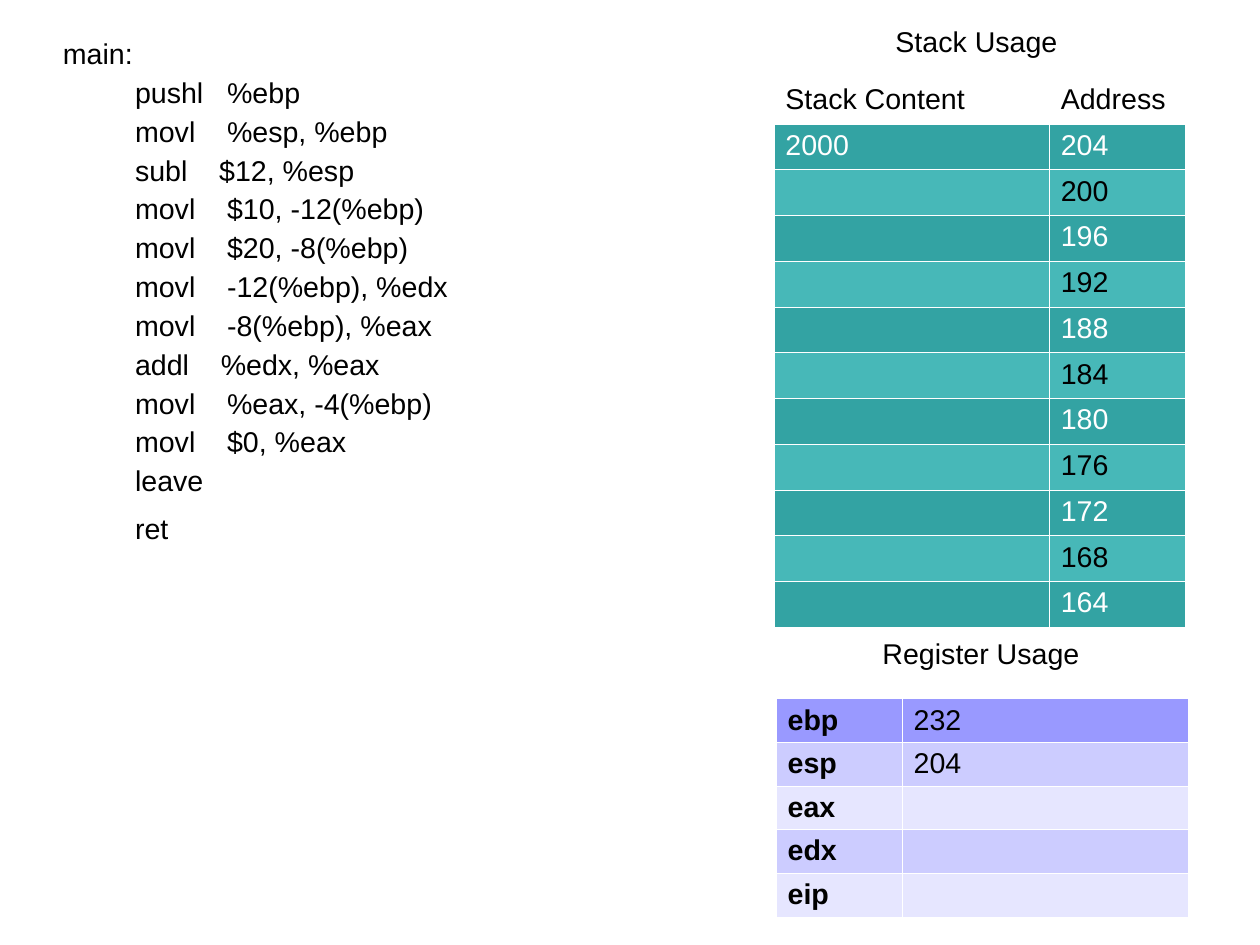
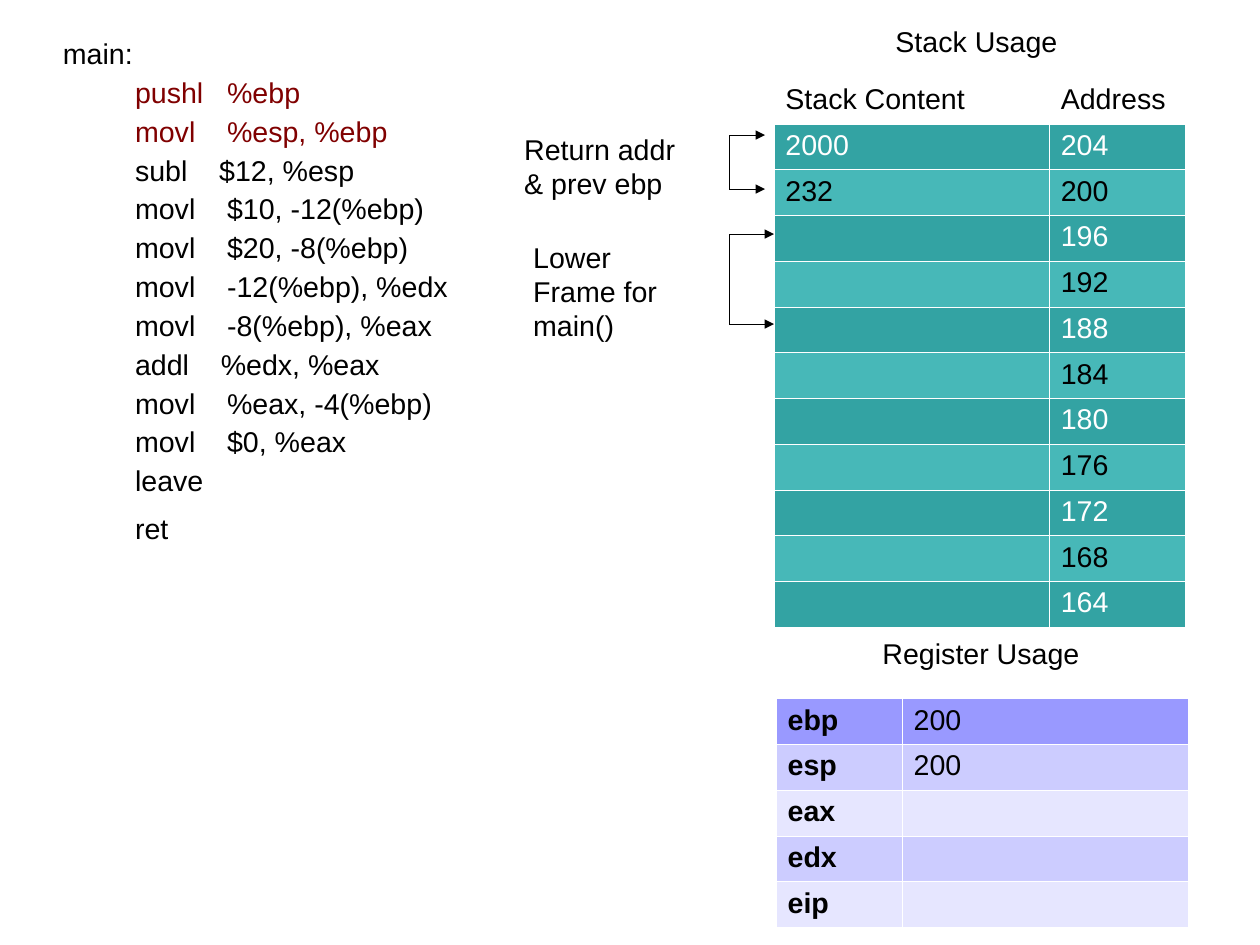
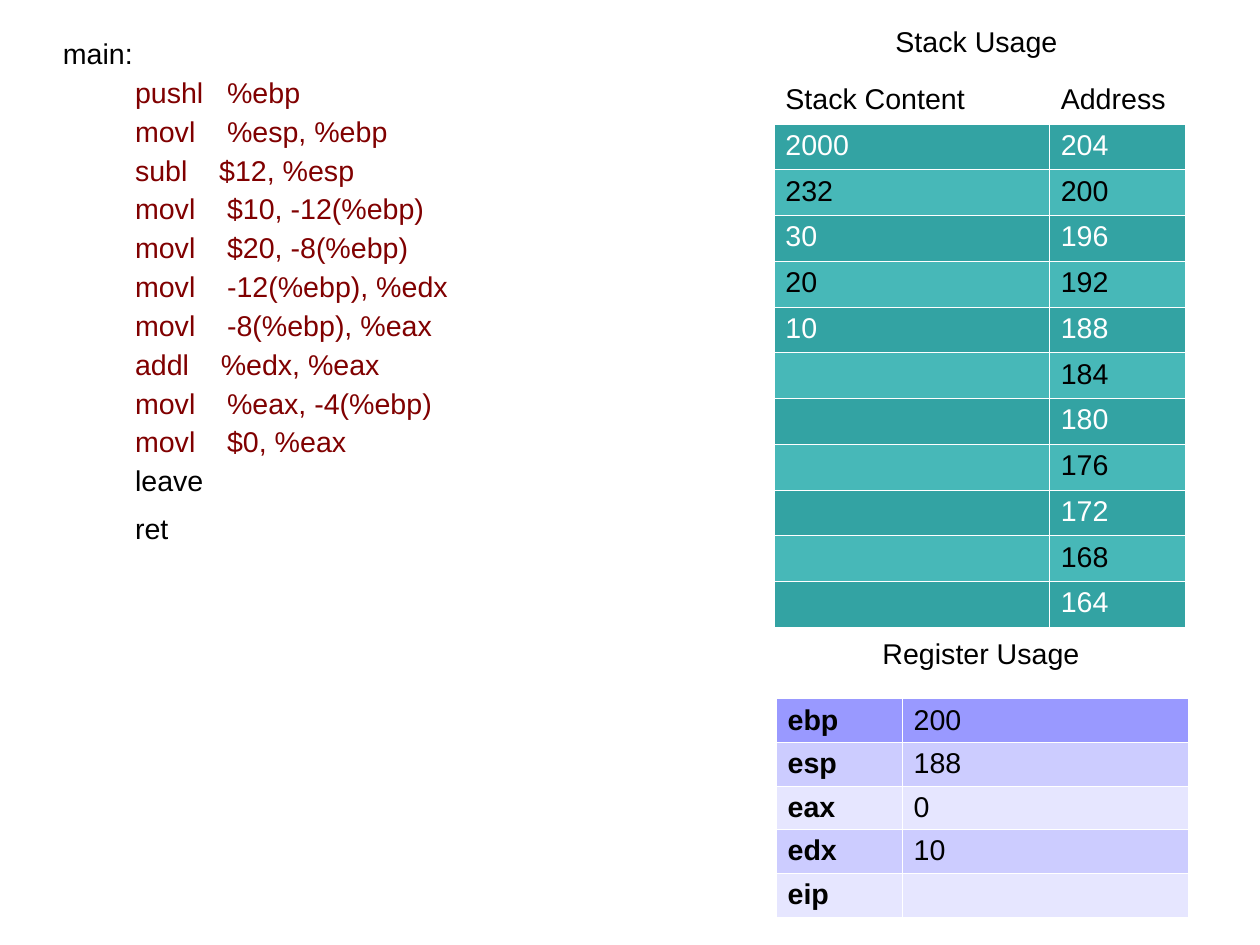
from dataclasses import dataclass
from typing import Any, NamedTuple

from lxml import etree
from pptx import Presentation
from pptx import util as u
from pptx.dml.color import RGBColor
from pptx.enum import shapes, text
from pptx.oxml import ns

Cm, Pt = u.Cm, u.Pt


@dataclass(frozen=True)
class Theme:
    font: str = "Arial"
    size: float = 18
    border: int = 720
    ink: str = "000000"
    paper: str = "FFFFFF"
    executed: str = "800000"
    stack_bands: tuple[str, str] = ("33A3A3", "47B8B8")
    register_head: str = "9999FF"
    register_bands: tuple[str, str] = ("CCCCFF", "E6E6FF")


class Label(NamedTuple):
    wording: str
    left: float
    top: float
    width: float
    height: float
    align: Any = text.PP_ALIGN.LEFT


class Bracket(NamedTuple):
    top: float
    bottom: float
    tip: float


class CellLook(NamedTuple):
    fill: str
    ink: str
    bold: bool = False


class Grid(NamedTuple):
    left: float
    top: float
    widths: tuple[float, float]
    rows: list[tuple[str, str]]
    looks: list[tuple[CellLook, CellLook]]


@dataclass(frozen=True)
class Step:
    executed: int
    stack: tuple[str, ...]
    registers: tuple[str, ...]
    callouts: tuple[Label, ...] = ()
    brackets: tuple[Bracket, ...] = ()


THEME = Theme()
ROW_HEIGHT = 0.97
BRACKET_LEFT = 16.2
LINE_GAP, LAST_LINE_GAP = 2.85, 8.8
ADDRESSES = range(204, 160, -4)
REGISTERS = ("ebp", "esp", "eax", "edx", "eip")
INSTRUCTIONS = (
    "  pushl   %ebp",
    "  movl    %esp, %ebp",
    "  subl    $12, %esp",
    "  movl    $10, -12(%ebp)",
    "  movl    $20, -8(%ebp)",
    "  movl    -12(%ebp), %edx",
    "  movl    -8(%ebp), %eax",
    "  addl    %edx, %eax",
    "  movl    %eax, -4(%ebp)",
    "  movl    $0, %eax",
    "  leave",
    "  ret",
)
HEADINGS = (
    Label("Stack Usage", 17.1, 0.4, 9.2, 0.97, text.PP_ALIGN.CENTER),
    Label("Register Usage", 17.2, 14, 9.2, 0.97, text.PP_ALIGN.CENTER),
)
STEPS = (
    Step(0, ("2000",), ("232", "204")),
    Step(
        2,
        ("2000", "232"),
        ("200", "200"),
        (
            Label("Return addr & prev ebp", 11.4, 2.8, 4.39, 1.68),
            Label("Lower Frame for main()", 11.6, 5.2, 4.18, 2.39),
        ),
        (Bracket(3, 4.2, 17), Bracket(5.2, 7.2, 17.2)),
    ),
    Step(10, ("2000", "232", "30", "20", "10"), ("200", "188", "0", "10")),
)


def apply(target: Any, values: dict[str, Any]) -> None:
    for name, value in values.items():
        setattr(target, name, value)


def write(paragraph: Any, wording: str, ink: str = THEME.ink, bold: bool = False) -> None:
    run = paragraph.add_run()
    run.text = wording
    apply(run.font, {"name": THEME.font, "size": Pt(THEME.size), "bold": bold})
    run.font.color.rgb = RGBColor.from_string(ink)


def size_empty(paragraph: Any) -> None:
    mark = etree.SubElement(paragraph._p, ns.qn("a:endParaRPr"), sz=str(int(THEME.size * 100)))
    etree.SubElement(mark, ns.qn("a:latin"), typeface=THEME.font)
    for script in ("a:ea", "a:cs"):
        etree.SubElement(mark, ns.qn(script), typeface=THEME.font)


def draw_label(slide: Any, label: Label) -> None:
    box = slide.shapes.add_textbox(*map(Cm, label[1:5]))
    apply(box.text_frame, {"word_wrap": True, "auto_size": text.MSO_AUTO_SIZE.SHAPE_TO_FIT_TEXT})
    paragraph = box.text_frame.paragraphs[0]
    paragraph.alignment = label.align
    write(paragraph, label.wording)


def draw_code(slide: Any, executed: int) -> None:
    frame = slide.shapes.add_textbox(Cm(1.4), Cm(0.8), Cm(15), Cm(19.2)).text_frame
    margins = dict.fromkeys(("margin_left", "margin_top", "margin_right", "margin_bottom"), 0)
    apply(frame, {"word_wrap": True, **margins})
    write(frame.paragraphs[0], "main:")
    for index, instruction in enumerate(INSTRUCTIONS):
        paragraph = frame.add_paragraph()
        last = index == len(INSTRUCTIONS) - 1
        paragraph.space_before = Pt(LAST_LINE_GAP if last else LINE_GAP)
        properties = paragraph._p.get_or_add_pPr()
        properties.set("marL", str(int(Cm(1.25))))
        properties.set("indent", "0")
        write(paragraph, instruction, THEME.executed if index < executed else THEME.ink)


def set_borders(cell: Any) -> None:
    properties = cell._tc.get_or_add_tcPr()
    for position, side in enumerate(("lnL", "lnR", "lnT", "lnB")):
        line = etree.Element(ns.qn(f"a:{side}"), w=str(THEME.border))
        fill = etree.SubElement(line, ns.qn("a:solidFill"))
        etree.SubElement(fill, ns.qn("a:srgbClr"), val=THEME.paper)
        properties.insert(position, line)


def draw_grid(slide: Any, grid: Grid) -> None:
    table = slide.shapes.add_table(
        len(grid.rows), len(grid.widths), Cm(grid.left), Cm(grid.top),
        Cm(sum(grid.widths)), Cm(ROW_HEIGHT * len(grid.rows)),
    ).table
    apply(table, {"first_row": False, "horz_banding": False})
    for column, width in zip(table.columns, grid.widths):
        column.width = Cm(width)
    for row, wordings, looks in zip(table.rows, grid.rows, grid.looks):
        row.height = Cm(ROW_HEIGHT)
        for cell, wording, look in zip(row.cells, wordings, looks):
            cell.fill.solid()
            cell.fill.fore_color.rgb = RGBColor.from_string(look.fill)
            set_borders(cell)
            paragraph = cell.text_frame.paragraphs[0]
            if wording:
                write(paragraph, wording, look.ink, look.bold)
            else:
                size_empty(paragraph)


def padded(values: tuple[str, ...], count: int) -> tuple[str, ...]:
    return values + ("",) * (count - len(values))


def stack_grid(contents: tuple[str, ...]) -> Grid:
    filled = padded(contents, len(ADDRESSES))
    rows = [("Stack Content", "Address"), *zip(filled, map(str, ADDRESSES))]
    bands = [CellLook(*pair) for pair in zip(THEME.stack_bands, (THEME.paper, THEME.ink))]
    looks = [CellLook(THEME.paper, THEME.ink)]
    looks += [bands[index % 2] for index in range(len(ADDRESSES))]
    return Grid(17.2, 1.73, (6.12, 3.02), rows, [(look, look) for look in looks])


def register_grid(values: tuple[str, ...]) -> Grid:
    rows = list(zip(REGISTERS, padded(values, len(REGISTERS))))
    fills = [THEME.register_head]
    fills += [THEME.register_bands[index % 2] for index in range(len(REGISTERS) - 1)]
    looks = [(CellLook(fill, THEME.ink, True), CellLook(fill, THEME.ink)) for fill in fills]
    return Grid(17.25, 15.52, (2.8, 6.36), rows, looks)


def draw_line(slide: Any, start: tuple[float, float], end: tuple[float, float], arrow: bool) -> None:
    line = slide.shapes.add_connector(shapes.MSO_CONNECTOR.STRAIGHT, *map(Cm, start + end))
    line.line.color.rgb = RGBColor.from_string(THEME.ink)
    outline = line.line._get_or_add_ln()
    outline.set("w", "0")
    if arrow:
        etree.SubElement(outline, ns.qn("a:tailEnd"), type="triangle")
    etree.SubElement(line._element.spPr, ns.qn("a:effectLst"))


def draw_bracket(slide: Any, bracket: Bracket) -> None:
    draw_line(slide, (BRACKET_LEFT, bracket.top), (BRACKET_LEFT, bracket.bottom), False)
    for y in (bracket.top, bracket.bottom):
        draw_line(slide, (BRACKET_LEFT, y), (bracket.tip, y), True)


def draw_step(slide: Any, step: Step) -> None:
    draw_grid(slide, register_grid(step.registers))
    draw_code(slide, step.executed)
    draw_grid(slide, stack_grid(step.stack))
    for label in HEADINGS + step.callouts:
        draw_label(slide, label)
    for bracket in step.brackets:
        draw_bracket(slide, bracket)


def main() -> None:
    deck = Presentation()
    apply(deck, {"slide_width": Cm(28), "slide_height": Cm(21)})
    blank = deck.slide_layouts[6]
    for step in STEPS:
        draw_step(deck.slides.add_slide(blank), step)
    deck.save("out.pptx")


if __name__ == "__main__":
    main()
